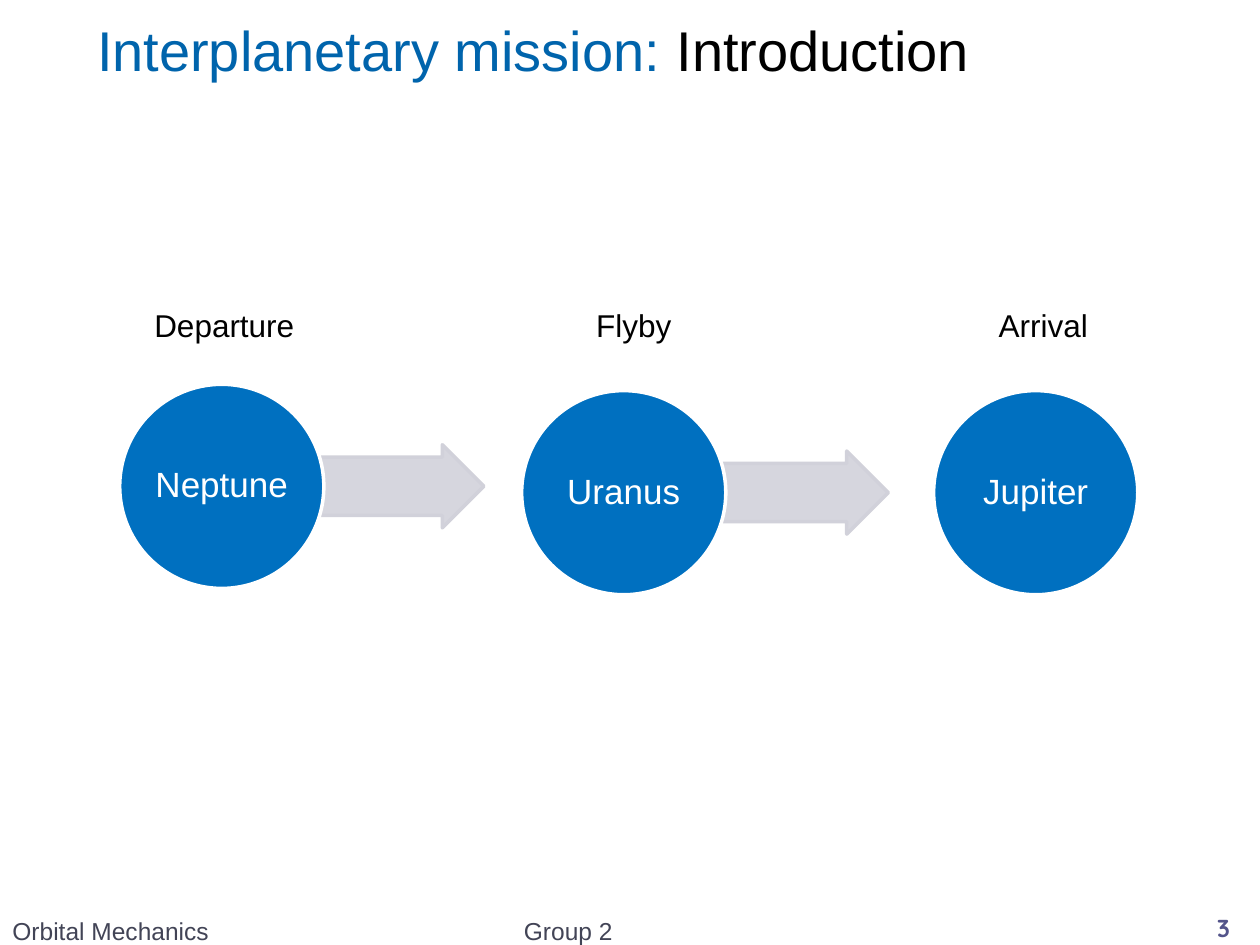
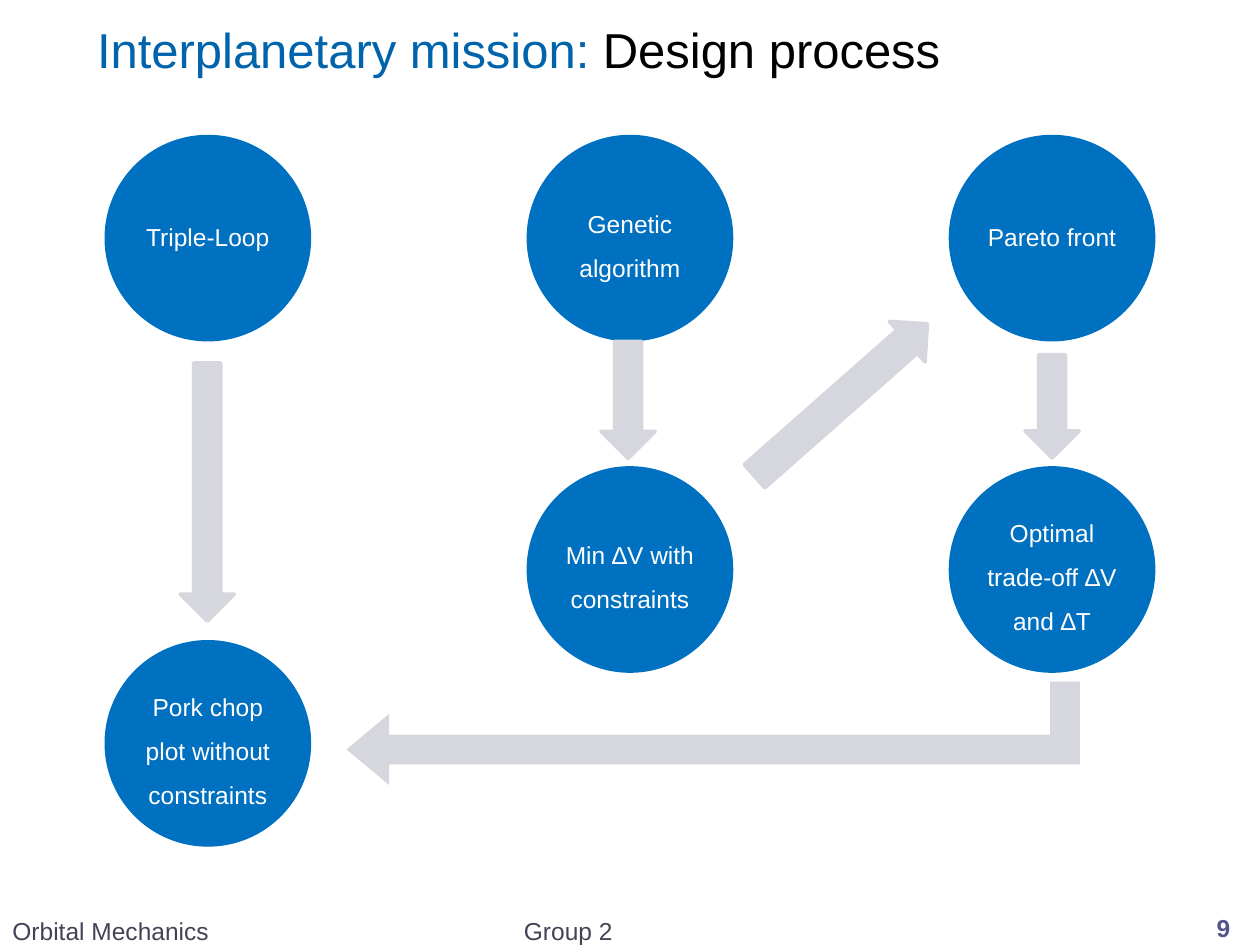
"""Builds two slides on an interplanetary mission: its route and its design process."""
from dataclasses import dataclass
from typing import Optional

from pptx import Presentation, util as u
from pptx.dml.color import RGBColor
from pptx.enum import shapes, text

PX = u.Inches(1) // 100
FONT = "Arial"
TITLE_BLUE = RGBColor(0x00, 0x64, 0xAC)
CIRCLE_BLUE = RGBColor(0x00, 0x70, 0xC0)
ARROW_GREY = RGBColor(0xD6, 0xD6, 0xDE)
EDGE_GREY = RGBColor(0xD1, 0xD1, 0xDA)
FOOTER_GREY = RGBColor(0x42, 0x44, 0x56)
NUMBER_VIOLET = RGBColor(0x53, 0x54, 0x8A)
BLACK = RGBColor(0, 0, 0)
WHITE = RGBColor(0xFF, 0xFF, 0xFF)


@dataclass(frozen=True)
class Box:
    left: int
    top: int
    width: int
    height: int

    def emu(self) -> tuple:
        return tuple(u.Emu(side * PX) for side in (self.left, self.top, self.width, self.height))


@dataclass(frozen=True)
class Style:
    size: int
    color: RGBColor
    bold: bool = False
    font: str = FONT


@dataclass(frozen=True)
class Circle:
    label: str
    left: int
    top: int
    diameter: int
    size: int
    spacing: float = 0.9
    edge: Optional[RGBColor] = None


@dataclass(frozen=True)
class Arrow:
    box: Box
    rotation: float = 0
    adjustments: tuple = (0.5, 0.5)
    edge: Optional[RGBColor] = ARROW_GREY
    kind: shapes.MSO_SHAPE = shapes.MSO_SHAPE.RIGHT_ARROW


TITLE_BOX = Box(67, 0, 793, 78)
FOOTERS = (("Group 2", Box(406, 727, 133, 23)), ("Orbital Mechanics", Box(0, 727, 398, 23)))
NUMBER_BOX = Box(942, 723, 58, 27)

ROUTE_DIAMETER = 162
ROUTE_STOPS = (("Neptune", 95, 305), ("Uranus", 414, 310), ("Jupiter", 741, 310))
ROUTE_ARROWS = tuple(
    Arrow(Box(left, top, 185, 66), adjustments=(0.7, 0.5), edge=EDGE_GREY)
    for left, top in ((199, 353), (520, 358))
)
PHASES = ("Departure", "Flyby", "Arrival")
PHASE_LEFT, PHASE_STEP = 107, 325

STEP_DIAMETER = 164
COLUMNS = tuple(83 + 335 * column for column in range(3))
TOP_ROW, MIDDLE_ROW, BOTTOM_ROW = 107, 370, 508
STEPS = (
    ("Triple-Loop", 0, TOP_ROW, 0.9),
    ("Pork chop plot without constraints", 0, BOTTOM_ROW, 1.5),
    ("Genetic algorithm", 1, TOP_ROW, 1.5),
    ("Min ∆V with constraints", 1, MIDDLE_ROW, 1.5),
    ("Pareto front", 2, TOP_ROW, 0.9),
    ("Optimal trade-off ∆V and ∆T", 2, MIDDLE_ROW, 1.5),
)
STEP_ARROWS = (
    Arrow(Box(62, 369, 205, 43), 90),
    Arrow(Box(452, 296, 93, 43), 90),
    Arrow(Box(794, 301, 82, 43), 90),
    Arrow(Box(275, 541, 582, 82), 180, (0.287, 0.344, 0.412, 0), None,
          shapes.MSO_SHAPE.BENT_ARROW),
    Arrow(Box(576, 296, 183, 43), 318.6, (0.574, 0.5)),
)


def add_run(paragraph, words: str, style: Style) -> None:
    run = paragraph.add_run()
    run.text = words
    run.font.name = style.font
    run.font.size = u.Pt(style.size)
    run.font.bold = style.bold
    run.font.color.rgb = style.color


def add_label(slide, words: str, box: Box, style: Style, align=text.PP_ALIGN.LEFT,
              anchor=text.MSO_ANCHOR.MIDDLE) -> None:
    frame = slide.shapes.add_textbox(*box.emu()).text_frame
    frame.word_wrap = True
    frame.vertical_anchor = anchor
    frame.paragraphs[0].alignment = align
    add_run(frame.paragraphs[0], words, style)


def paint(shape, fill: RGBColor, edge: Optional[RGBColor]) -> None:
    shape.shadow.inherit = False
    shape.fill.solid()
    shape.fill.fore_color.rgb = fill
    if edge is None:
        shape.line.fill.background()
    else:
        shape.line.color.rgb = edge
        shape.line.width = u.Pt(2)


def add_circle(slide, circle: Circle) -> None:
    box = Box(circle.left, circle.top, circle.diameter, circle.diameter)
    shape = slide.shapes.add_shape(shapes.MSO_SHAPE.OVAL, *box.emu())
    paint(shape, CIRCLE_BLUE, circle.edge)
    frame = shape.text_frame
    frame.word_wrap = True
    frame.vertical_anchor = text.MSO_ANCHOR.MIDDLE
    frame.margin_left = frame.margin_right = frame.margin_top = frame.margin_bottom = 0
    paragraph = frame.paragraphs[0]
    paragraph.alignment = text.PP_ALIGN.CENTER
    paragraph.line_spacing = circle.spacing
    add_run(paragraph, circle.label, Style(circle.size, WHITE))


def add_arrow(slide, arrow: Arrow) -> None:
    shape = slide.shapes.add_shape(arrow.kind, *arrow.box.emu())
    paint(shape, ARROW_GREY, arrow.edge)
    for index, value in enumerate(arrow.adjustments):
        shape.adjustments[index] = value
    shape.rotation = arrow.rotation


def add_slide(presentation, topic: str, title_size: int, number: str, number_font: str = FONT):
    slide = presentation.slides.add_slide(presentation.slide_layouts[5])
    title = slide.shapes.title
    title.left, title.top, title.width, title.height = TITLE_BOX.emu()
    frame = title.text_frame
    frame.auto_size = text.MSO_AUTO_SIZE.NONE
    frame.vertical_anchor = text.MSO_ANCHOR.MIDDLE
    paragraph = frame.paragraphs[0]
    paragraph.alignment = text.PP_ALIGN.LEFT
    add_run(paragraph, "Interplanetary mission: ", Style(title_size, TITLE_BLUE))
    add_run(paragraph, topic, Style(title_size, BLACK))
    for words, box in FOOTERS:
        add_label(slide, words, box, Style(14, FOOTER_GREY))
    add_label(slide, number, NUMBER_BOX, Style(14, NUMBER_VIOLET, True, number_font),
              text.PP_ALIGN.CENTER)
    return slide


def build_introduction(presentation) -> None:
    slide = add_slide(presentation, "Introduction", 32, "3", "Quicksand")
    for arrow in ROUTE_ARROWS:
        add_arrow(slide, arrow)
    for planet, left, top in ROUTE_STOPS:
        add_circle(slide, Circle(planet, left, top, ROUTE_DIAMETER, 20, edge=WHITE))
    for index, phase in enumerate(PHASES):
        box = Box(PHASE_LEFT + index * PHASE_STEP, 238, 142, 40)
        add_label(slide, phase, box, Style(18, BLACK), text.PP_ALIGN.CENTER,
                  text.MSO_ANCHOR.TOP)


def build_design_process(presentation) -> None:
    slide = add_slide(presentation, "Design process", 28, "9")
    for label, column, top, spacing in STEPS:
        add_circle(slide, Circle(label, COLUMNS[column], top, STEP_DIAMETER, 14, spacing))
    for arrow in STEP_ARROWS:
        add_arrow(slide, arrow)


def main() -> None:
    presentation = Presentation()
    presentation.slide_width = u.Emu(1000 * PX)
    presentation.slide_height = u.Emu(750 * PX)
    build_introduction(presentation)
    build_design_process(presentation)
    presentation.save("out.pptx")


if __name__ == "__main__":
    main()
